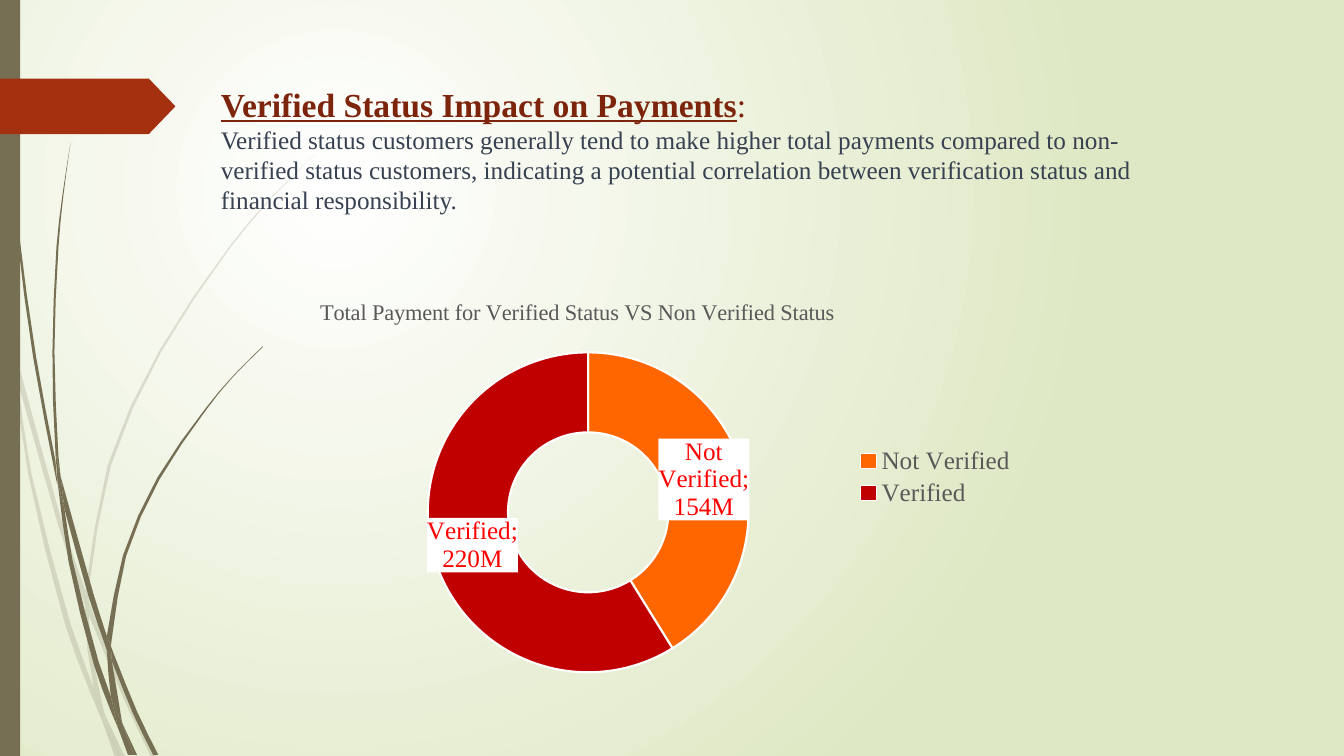
import itertools
import math
from dataclasses import dataclass

import lxml.etree
import pptx
import pptx.chart.data
import pptx.dml.color
import pptx.enum.chart
import pptx.enum.shapes
import pptx.enum.text
import pptx.oxml
import pptx.oxml.ns
import pptx.util

PX = 9144
qn = pptx.oxml.ns.qn

FAINT = """
11 350 9 322 0 282 / 0 299 10 344 11 350
14 345 62 520 85 586 / 84 599 58 522 17 376
88 596 92 607 127 692 155 751 / 150 751 123 694 88 610
105 711 124 751 / 119 751 105 711
11 350 28 470 65 621 92 693 101 714 / 99 707 93 683 70 619 31 469 17 376 11 350
84 599 87 646 93 683 96 692 105 711 / 103 706 91 646 88 610 84 599
85 586 107 461 158 348 228 244 268 197 312 153 / 268 198 229 245 160 349 110 462 88 584 88 596
101 714 114 751 / 119 751 101 714
85 586 84 599 / 88 610 88 596
93 683 99 707 101 714 119 751 / 119 751 105 711 96 692 93 683
"""
SOLID = """
3 0 4 48 7 110 17 233 33 355 56 477 57 481 / 55 457 36 355 19 232 8 109 5 48 4 0
60 472 93 590 106 631 / 106 645 88 592 64 505
110 641 113 649 136 706 157 749 / 152 749 132 708 111 656
57 477 68 557 93 659 111 708 117 722 / 116 717 110 691 98 657 72 556 64 505 57 477
60 472 55 449 52 349 56 245 62 193 70 141 / 70 141 63 193 58 245 54 349 58 453 60 472
122 719 136 749 / 133 749 122 719
55 449 57 477 / 64 505 60 472 55 449
110 641 / 106 631 122 551 156 474 204 405 231 373 260 344 / 261 344 231 374 205 406 158 476 125 552 111 633
117 722 127 749 / 131 749 117 722
106 645 110 691 116 706 122 719 / 121 716 111 656 109 651 106 645
106 631 106 645 / 109 651 111 656 110 641
110 691 116 717 117 722 130 749 / 133 749 122 719 116 706 110 691
"""


@dataclass(frozen=True)
class Theme:
    white: str = "FFFFFF"
    back: str = "DFE8C4"
    stem: str = "766F54"
    tag: str = "A53010"
    head: str = "7C240C"
    body: str = "374151"
    grey: str = "595959"
    black: str = "000000"
    label: str = "FF0000"
    slices: tuple = ("FF6600", "C00000")
    font: str = "Times New Roman"
    base: str = "League Spartan"
    big: int = 24
    mid: int = 18
    small: int = 16
    tiny: int = 10


def rgb(code):
    return pptx.dml.color.RGBColor.from_string(code)


def smooth(dots):
    if len(dots) < 3:
        return dots
    gaps = [math.dist(a, b) for a, b in itertools.pairwise(dots)]
    time = [0, *itertools.accumulate(gaps)]
    last = len(dots) - 1
    slopes = []
    for i in range(len(dots)):
        lo, hi = max(i - 1, 0), min(i + 1, last)
        slopes.append([(b - a) / (time[hi] - time[lo]) for a, b in zip(dots[lo], dots[hi])])
    curve = [dots[0]]
    for i, gap in enumerate(gaps):
        if gap > 40:
            curve.append(tuple(
                (dots[i][k] + dots[i + 1][k]) / 2
                + gap * (slopes[i][k] - slopes[i + 1][k]) / 8
                for k in (0, 1)))
        curve.append(dots[i + 1])
    return curve


class Deck:
    def __init__(self, theme):
        self.theme = theme
        self.file = pptx.Presentation()
        self.file.slide_width, self.file.slide_height = 1333 * PX, 750 * PX
        self.slide = self.file.slides.add_slide(self.file.slide_layouts[5])
        self.shapes = self.slide.shapes

    def glow(self, inner, outer):
        fill = self.slide.background.fill
        fill.gradient()
        for stop, code in zip(fill.gradient_stops, (inner, outer)):
            stop.color.rgb = rgb(code)
        line = next(self.slide.element.iter(qn("a:lin")))
        ring = lxml.etree.Element(qn("a:path"), {"path": "circle"})
        lxml.etree.SubElement(ring, qn("a:fillToRect"),
                              {"l": "50000", "t": "50000", "r": "100000", "b": "100000"})
        line.getparent().replace(line, ring)

    def paint(self, shape, code, alpha=100):
        shape.shadow.inherit = False
        shape.fill.solid()
        shape.fill.fore_color.rgb = rgb(code)
        shape.line.fill.background()
        if alpha < 100:
            tint = next(shape.element.spPr.iter(qn("a:srgbClr")))
            lxml.etree.SubElement(tint, qn("a:alpha"), {"val": str(alpha * 1000)})

    def box(self, kind, area, code):
        shape = self.shapes.add_shape(kind, *(n * PX for n in area))
        self.paint(shape, code)
        return shape

    def blade(self, text, code, alpha):
        edge = []
        for side in text.split("/"):
            nums = [int(n) for n in side.split()]
            edge += smooth(list(zip(nums[::2], nums[1::2])))
        dots = [(x * PX, y * PX) for x, y in edge]
        pen = self.shapes.build_freeform(*dots[0], scale=1.0)
        pen.add_line_segments(dots[1:], close=True)
        self.paint(pen.convert_to_shape(), code, alpha)

    def style(self, font, size, code, bold=False, name=None):
        font.name = name or self.theme.font
        font.size = pptx.util.Pt(size)
        font.bold = bold
        font.color.rgb = rgb(code)

    def run(self, para, text, size, code, bold=False):
        run = para.add_run()
        run.text = text
        self.style(run.font, size, code, bold)
        return run

    def title(self, area, head, body):
        look, shape = self.theme, self.shapes.title
        shape.left, shape.top, shape.width, shape.height = (n * PX for n in area)
        shape.element.getparent().append(shape.element)
        frame = shape.text_frame
        frame.word_wrap = True
        frame.auto_size = pptx.enum.text.MSO_AUTO_SIZE.NONE
        frame.vertical_anchor = pptx.enum.text.MSO_ANCHOR.TOP
        para = frame.paragraphs[0]
        para.alignment = pptx.enum.text.PP_ALIGN.LEFT
        self.run(para, head, look.big, look.head, True).font.underline = True
        self.run(para, ":", look.big, look.head)
        para.add_line_break()
        self.run(para, body, look.mid, look.body)

    def place(self, node, **spots):
        layout = node.find(qn("c:layout"))
        if layout is None:
            layout = lxml.etree.Element(qn("c:layout"))
            text = node.find(qn("c:tx"))
            node.insert(0, layout) if text is None else text.addnext(layout)
        hand = lxml.etree.SubElement(layout, qn("c:manualLayout"))
        for key, val in spots.items():
            lxml.etree.SubElement(hand, qn("c:" + key), {"val": str(val)})

    def ring(self, area, title, cats, vals):
        look = self.theme
        data = pptx.chart.data.CategoryChartData()
        data.categories = cats
        data.add_series("Series 1", vals)
        chart = self.shapes.add_chart(pptx.enum.chart.XL_CHART_TYPE.DOUGHNUT,
                                      *(n * PX for n in area), data).chart
        self.style(chart.font, look.tiny, look.black, name=look.base)
        chart.has_title = True
        self.run(chart.chart_title.text_frame.paragraphs[0], title, look.small, look.grey)
        chart.has_legend = True
        chart.legend.position = pptx.enum.chart.XL_LEGEND_POSITION.RIGHT
        chart.legend.include_in_layout = False
        self.style(chart.legend.font, look.mid, look.grey)

        chart.plots[0].vary_by_categories = True
        series = chart.plots[0].series[0]
        for i, code in enumerate(look.slices):
            part = series.points[i].format
            part.fill.solid()
            part.fill.fore_color.rgb = rgb(code)
            part.line.color.rgb = rgb(look.white)
            part.line.width = pptx.util.Pt(1.5)
        labels = series.data_labels
        labels.show_value = labels.show_category_name = True
        labels.number_format = '0,,"M"'
        labels.number_format_is_linked = False
        self.style(labels.font, look.mid, look.label)

        root = chart.element
        node = root.find(f".//{qn('c:ser')}/{qn('c:dLbls')}")
        back = lxml.etree.Element(qn("c:spPr"))
        solid = lxml.etree.SubElement(back, qn("a:solidFill"))
        lxml.etree.SubElement(solid, qn("a:srgbClr"), {"val": look.white})
        node.find(qn("c:numFmt")).addnext(back)
        mark = lxml.etree.Element(qn("c:separator"))
        mark.text = "; "
        node.find(qn("c:showBubbleSize")).addnext(mark)
        next(root.iter(qn("c:holeSize"))).set("val", "75")
        self.place(next(root.iter(qn("c:title"))), xMode="edge", yMode="edge", x=0.23, y=0.03)
        self.place(next(root.iter(qn("c:plotArea"))), layoutTarget="inner",
                   xMode="edge", yMode="edge", x=0.24, y=0.18, w=0.57, h=0.82)


def main():
    look = Theme()
    deck = Deck(look)
    kinds = pptx.enum.shapes.MSO_SHAPE
    deck.glow(look.white, look.back)
    for group, alpha in ((FAINT, 20), (SOLID, 100)):
        for text in group.strip().splitlines():
            deck.blade(text, look.stem, alpha)
    deck.box(kinds.RECTANGLE, (0, 0, 20, 750), look.stem)
    deck.box(kinds.PENTAGON, (0, 78, 174, 55), look.tag).adjustments[0] = 0.48
    deck.title((209, 78, 975, 140), "Verified Status Impact on Payments",
               "Verified status customers generally tend to make higher total payments "
               "compared to non-verified status customers, indicating a potential "
               "correlation between verification status and financial responsibility.")
    deck.ring((103, 280, 915, 388), "Total Payment for Verified Status VS Non Verified Status",
              ("Not Verified", "Verified"), (154000000, 220000000))
    deck.file.save("out.pptx")


if __name__ == "__main__":
    main()
